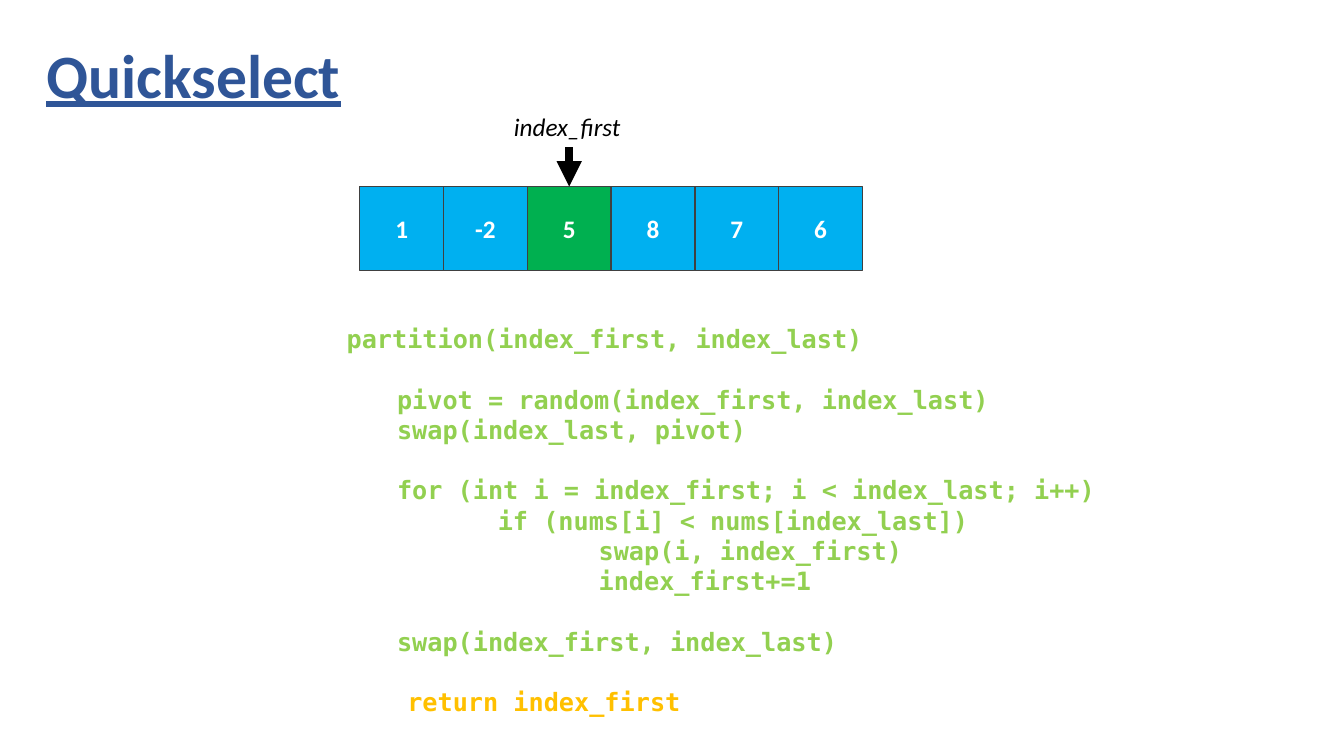
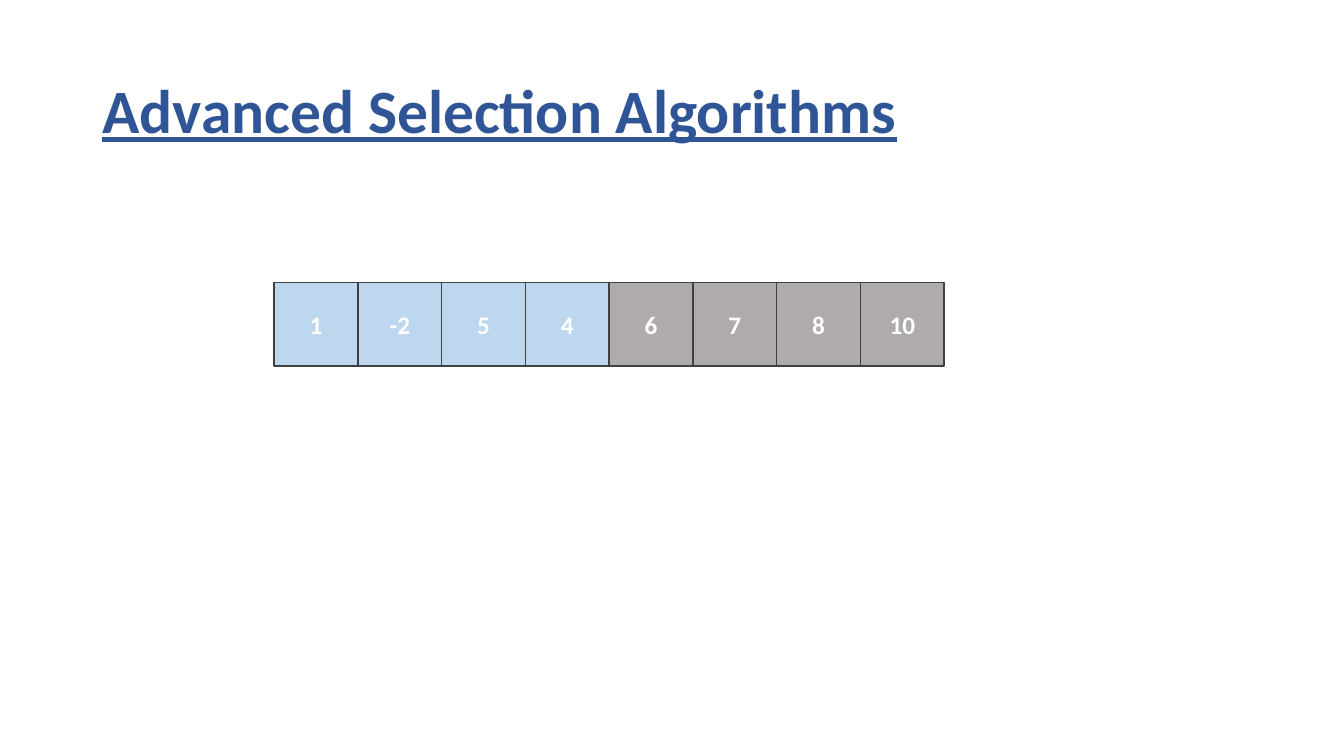
import lxml.etree
import pptx
import pptx.util
import pptx.dml.color
import pptx.enum.shapes
import pptx.enum.text
import pptx.oxml.ns

Pt = pptx.util.Pt
ALIGN = pptx.enum.text.PP_ALIGN
ANCHOR = pptx.enum.text.MSO_ANCHOR

COLORS = {
    "title": "2F5597", "active": "00B0F0", "pivot": "00B050", "small": "BDD7EE",
    "large": "AFABAB", "border": "404040", "white": "FFFFFF", "black": "000000",
    "code": "92D050", "return": "FFC000",
}
TEXT_FONT, CODE_FONT = "Calibri", "DejaVu Sans Mono"
CELL = 59.83
CODE_LINE = 21.6

# title, title position, array position, cells as (value, colour)
QUICKSELECT = ("Quickselect", (26, 3.6), (257, 133.2), [
    ("1", "active"), ("-2", "active"), ("5", "pivot"),
    ("8", "active"), ("7", "active"), ("6", "active")])
ADVANCED = ("Advanced Selection Algorithms", (66, 28.8), (195.8, 201.6), [
    ("1", "small"), ("-2", "small"), ("5", "small"), ("4", "small"),
    ("6", "large"), ("7", "large"), ("8", "large"), ("10", "large")])

# text, indent, blank lines above, colour
CODE = [
    ("partition(index_first, index_last)", 0, 0, "code"),
    ("pivot = random(index_first, index_last)", 36, 1, "code"),
    ("swap(index_last, pivot)", 36, 0, "code"),
    ("for (int i = index_first; i < index_last; i++)", 36, 1, "code"),
    ("if (nums[i] < nums[index_last])", 108, 0, "code"),
    ("swap(i, index_first)", 180, 0, "code"),
    ("index_first+=1", 180, 0, "code"),
    ("swap(index_first, index_last)", 36, 1, "code"),
    ("return index_first", 43.35, 1, "return"),
]


def rgb(name):
    """Return the named colour."""
    return pptx.dml.color.RGBColor.from_string(COLORS[name])


def style(para, color, size=18, face=TEXT_FONT, bold=True, italic=False, underline=False):
    """Format every run of a paragraph."""
    for span in para.runs:
        font = span.font
        font.name, font.size, font.color.rgb = face, Pt(size), rgb(color)
        font.bold, font.italic, font.underline = bold, italic, underline


def add_array(page, left, top, cells):
    """Draw a row of touching square cells."""
    for index, (value, color) in enumerate(cells):
        box = page.shapes.add_shape(
            pptx.enum.shapes.MSO_SHAPE.RECTANGLE,
            Pt(left + index * CELL), Pt(top), Pt(CELL), Pt(CELL))
        box.shadow.inherit = False
        box.fill.solid()
        box.fill.fore_color.rgb = rgb(color)
        box.line.color.rgb = rgb("border")
        box.line.width = Pt(1)
        box.text_frame.text = value
        box.text_frame.vertical_anchor = ANCHOR.MIDDLE
        para = box.text_frame.paragraphs[0]
        para.alignment = ALIGN.CENTER
        style(para, "white")


def add_page(deck, heading, heading_at, array_at, cells):
    """Add a slide with its title and array."""
    page = deck.slides.add_slide(deck.slide_layouts[5])
    title = page.shapes.title
    title.left, title.top = (Pt(length) for length in heading_at)
    title.width, title.height = Pt(828), Pt(104.4)
    frame = title.text_frame
    frame.text = heading
    frame.vertical_anchor = ANCHOR.MIDDLE
    frame.auto_size = pptx.enum.text.MSO_AUTO_SIZE.NONE
    para = frame.paragraphs[0]
    para.alignment = ALIGN.LEFT
    para.line_spacing = 0.9
    style(para, "title", size=44, underline=True)
    add_array(page, *array_at, cells)
    return page


def add_code(page):
    """Write the pseudocode with indents and gaps."""
    box = page.shapes.add_textbox(Pt(240.5), Pt(227.5), Pt(613.4), Pt(312.5))
    frame = box.text_frame
    frame.word_wrap = True
    frame.text = "\n".join(line[0] for line in CODE)
    for para, (_, indent, blanks, color) in zip(frame.paragraphs, CODE):
        para.line_spacing = Pt(CODE_LINE)
        para.space_before = Pt(blanks * CODE_LINE)
        properties = para._p.get_or_add_pPr()
        properties.set("marL", str(int(Pt(indent))))
        properties.set("indent", "0")
        style(para, color, face=CODE_FONT)


def add_pointer(page, text, x, top, bottom):
    """Draw a labelled arrow that points down at a cell."""
    arrow = page.shapes.add_connector(
        pptx.enum.shapes.MSO_CONNECTOR.STRAIGHT, Pt(x), Pt(top), Pt(x), Pt(bottom))
    arrow.line.color.rgb = rgb("black")
    arrow.line.width = Pt(6)
    properties = arrow._element.spPr
    outline = properties.find(pptx.oxml.ns.qn("a:ln"))
    lxml.etree.SubElement(outline, pptx.oxml.ns.qn("a:tailEnd"), type="triangle")
    lxml.etree.SubElement(properties, pptx.oxml.ns.qn("a:effectLst"))

    label = page.shapes.add_textbox(Pt(360), Pt(top - 28.8), Pt(94.3), Pt(28.8))
    label.text_frame.word_wrap = False
    label.text_frame.text = text
    style(label.text_frame.paragraphs[0], "black", bold=False, italic=True)


deck = pptx.Presentation()
deck.slide_width, deck.slide_height = Pt(960), Pt(540)
quickselect = add_page(deck, *QUICKSELECT)
add_code(quickselect)
array_left, array_top = QUICKSELECT[2]
add_pointer(quickselect, "index_first", array_left + 2.5 * CELL, 105.1, array_top)
add_page(deck, *ADVANCED)
deck.save("out.pptx")
